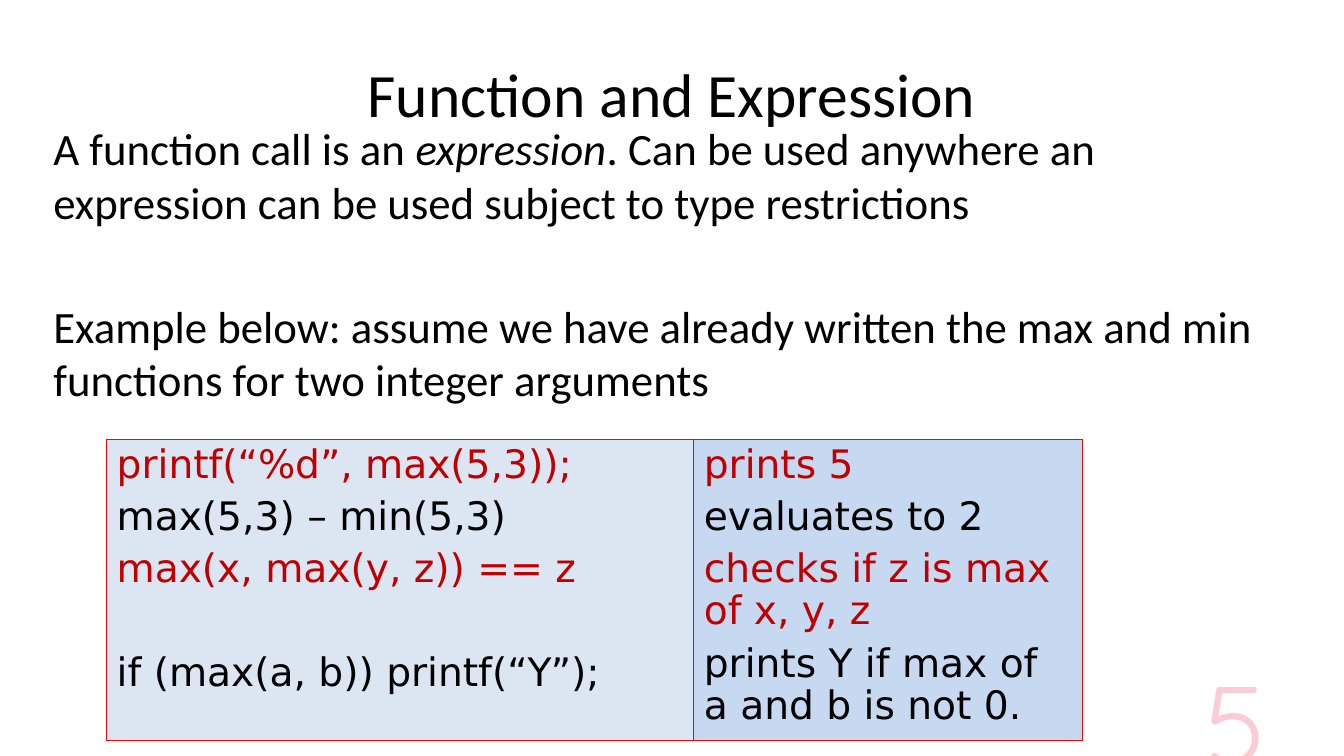
from lxml import etree
from pptx import Presentation
from pptx.dml.color import RGBColor
from pptx.enum.shapes import MSO_SHAPE
from pptx.enum.text import MSO_ANCHOR as Anchor, PP_ALIGN as Align
from pptx.oxml.ns import qn
from pptx.util import Pt


def color(value):
    return RGBColor.from_string(value)


def add_run(para, text, size, font, hex_color, italic=False):
    span = para.add_run()
    span.text = text
    span.font.size = Pt(size)
    span.font.name = font
    span.font.italic = italic
    span.font.color.rgb = color(hex_color)
    return span


BLACK, RED = "000000", "C00000"

deck = Presentation()
deck.slide_width, deck.slide_height = Pt(960), Pt(540)
page = deck.slides.add_slide(deck.slide_layouts[5])

# Title
title = page.shapes.title
title.left, title.top, title.width, title.height = Pt(48), Pt(21.6), Pt(864), Pt(90)
title.text_frame.vertical_anchor = Anchor.MIDDLE
para = title.text_frame.paragraphs[0]
para.alignment = Align.CENTER
add_run(para, "Function and Expression", 44, "Calibri", BLACK)

# Page number, pale and oversized
box = page.shapes.add_textbox(Pt(688.3), Pt(500.4), Pt(224), Pt(28.8))
box.text_frame.word_wrap = True
box.text_frame.vertical_anchor = Anchor.MIDDLE
para = box.text_frame.paragraphs[0]
para.alignment = Align.RIGHT
span = add_run(para, "5", 80, "Quicksand", "F03B5E")
tint = span.font.fill._xPr.find(qn("a:solidFill"))[0]
etree.SubElement(tint, qn("a:alpha")).set("val", "25000")

# Explanation
box = page.shapes.add_textbox(Pt(31), Pt(82.8), Pt(898.6), Pt(272))
frame = box.text_frame
frame.word_wrap = True
para = frame.paragraphs[0]
for text, italic in [
    ("A function call is an ", False),
    ("expression", True),
    (". Can be used anywhere an expression can be used subject to type restrictions", False),
]:
    add_run(para, text, 32, "Calibri", BLACK, italic)
para = frame.add_paragraph()
para.space_before = Pt(50)
add_run(para, "Example below: assume we have already written the max and min "
        "functions for two integer arguments", 32, "Calibri", BLACK)

# Code and its meaning, side by side: (text, space before)
panels = [
    (76.3, 419.4, "DCE6F2", [
        ("printf(“%d”, max(5,3));", 0),
        ("max(5,3) – min(5,3)", 7),
        ("max(x, max(y, z)) == z", 7),
        ("if (max(a, b)) printf(“Y”);", 44),
    ]),
    (495.7, 277.7, "C6D9F1", [
        ("prints 5", 0),
        ("evaluates to 2", 7),
        ("checks if z is max of x, y, z", 7),
        ("prints Y if max of a and b is not 0.", 7),
    ]),
]
for left, width, fill, lines in panels:
    panel = page.shapes.add_shape(MSO_SHAPE.RECTANGLE, Pt(left), Pt(313.9), Pt(width), Pt(215))
    panel.shadow.inherit = False
    panel.fill.solid()
    panel.fill.fore_color.rgb = color(fill)
    panel.line.color.rgb = color("FF0000")
    panel.line.width = Pt(0.75)
    frame = panel.text_frame
    frame.word_wrap = True
    frame.vertical_anchor = Anchor.TOP
    for index, (text, gap) in enumerate(lines):
        para = frame.add_paragraph() if index else frame.paragraphs[0]
        para.alignment = Align.LEFT
        para.line_spacing = 0.9
        if gap:
            para.space_before = Pt(gap)
        add_run(para, text, 28, "DejaVu Sans", BLACK if index % 2 else RED)

deck.save("out.pptx")
